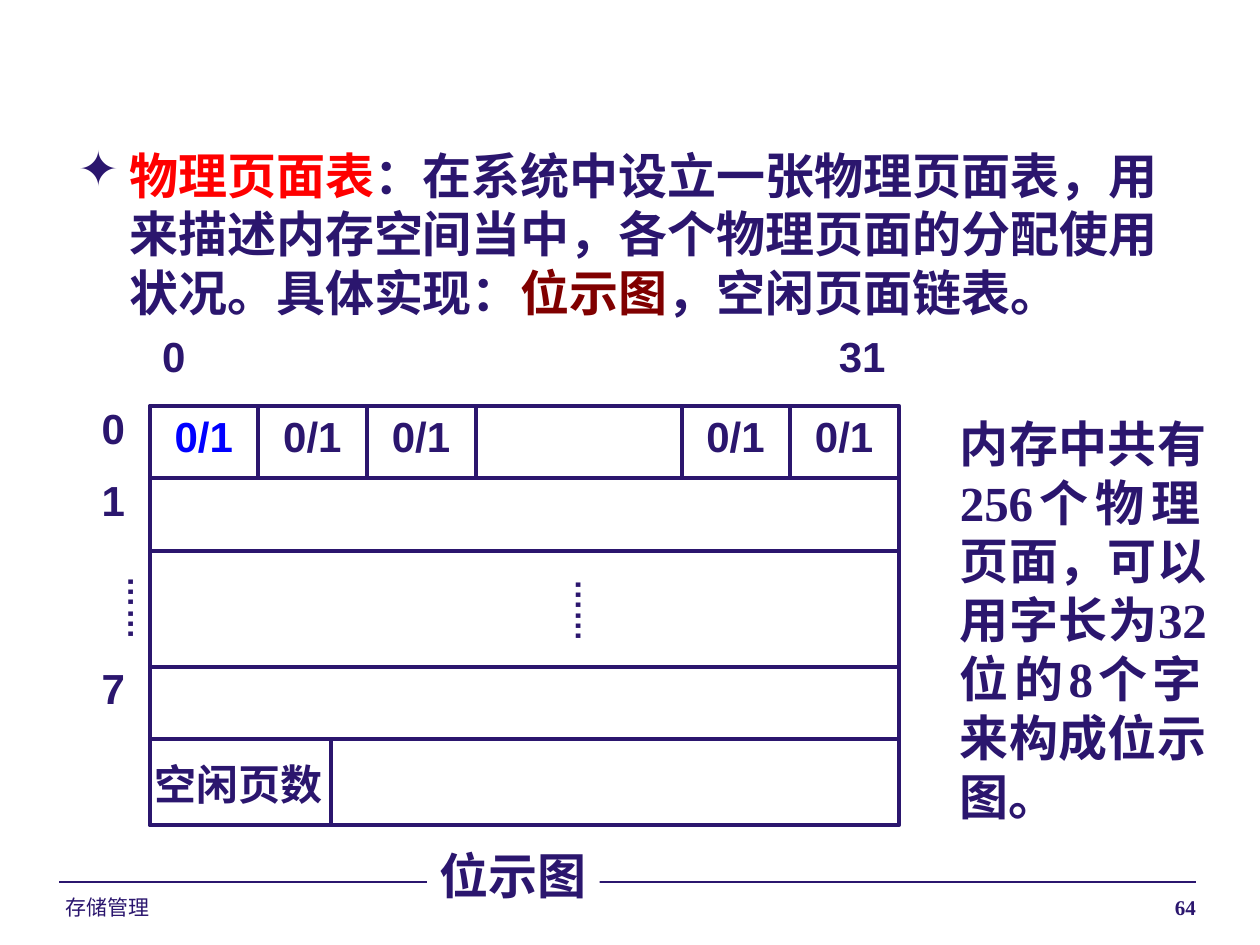
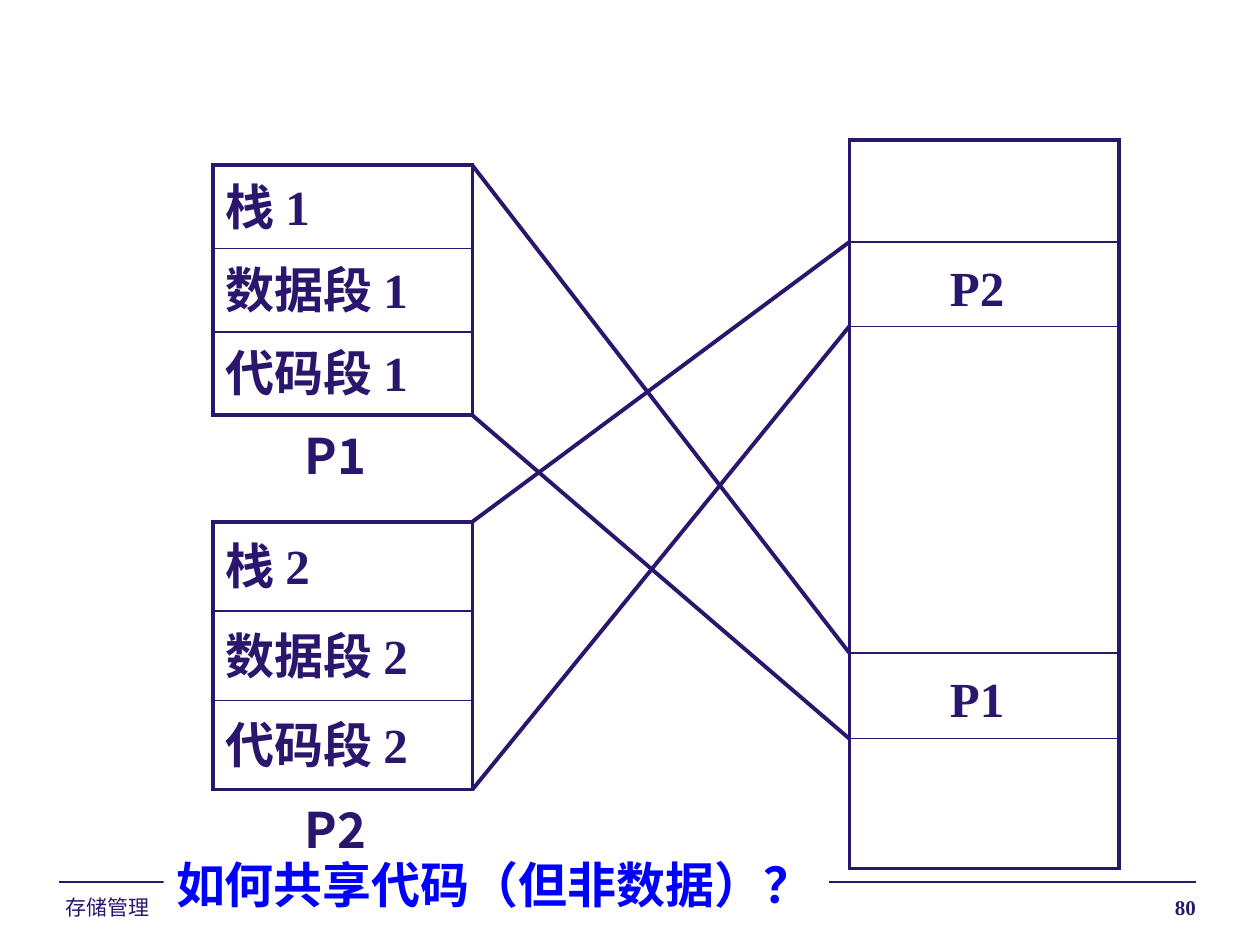
from itertools import accumulate

from lxml.etree import SubElement
from pptx import Presentation
from pptx.dml.color import RGBColor
from pptx.enum.shapes import MSO_CONNECTOR, MSO_SHAPE
from pptx.enum.text import MSO_ANCHOR, MSO_AUTO_SIZE, PP_ALIGN
from pptx.oxml.ns import qn
from pptx.util import Cm, Pt

INDIGO = RGBColor(0x2B, 0x16, 0x6E)
RED = RGBColor(0xFF, 0x00, 0x00)
MAROON = RGBColor(0x80, 0x00, 0x00)
BLUE = RGBColor(0x00, 0x00, 0xFF)
WHITE = RGBColor(0xFF, 0xFF, 0xFF)
SANS, SERIF, CJK = "Arial", "Times New Roman", "Noto Sans CJK SC"
THICK, THIN = 2.25, 1
LINE_HEIGHT = 1.2


# Shared helpers
def add_run(paragraph, text, font=SERIF, size=28, color=INDIGO, bold=True,
            east_asian=CJK):
    run = paragraph.add_run()
    run.text = text
    run.font.name = font
    run.font.size = Pt(size)
    run.font.bold = bold
    run.font.color.rgb = color
    SubElement(run.font._element, qn("a:ea"), typeface=east_asian)


def add_text(slide, box, text="", align=PP_ALIGN.LEFT, size=28, wrap=True,
             fill=None, **style):
    """Add a text box at (left, top, width, height) and return it."""
    shape = slide.shapes.add_textbox(*map(Cm, box))
    if fill is not None:
        shape.fill.solid()
        shape.fill.fore_color.rgb = fill
    frame = shape.text_frame
    frame.word_wrap = wrap
    frame.auto_size = MSO_AUTO_SIZE.NONE if wrap else MSO_AUTO_SIZE.SHAPE_TO_FIT_TEXT
    paragraph = frame.paragraphs[0]
    paragraph.alignment = align
    paragraph.line_spacing = Pt(size * LINE_HEIGHT)
    for index, line in enumerate(text.split("\n") if text else []):
        if index:
            paragraph.add_line_break()
        add_run(paragraph, line, size=size, **style)
    return shape


def add_line(slide, start, end, width=THICK):
    line = slide.shapes.add_connector(
        MSO_CONNECTOR.STRAIGHT, *map(Cm, (*start, *end)))
    line.line.color.rgb = INDIGO
    line.line.width = Pt(width)
    SubElement(line._element.spPr, qn("a:effectLst"))


def add_slide(presentation, number):
    """Blank slide with the footer rule, the topic and the page number."""
    slide = presentation.slides.add_slide(presentation.slide_layouts[6])
    add_line(slide, (1.19, 17.78), (24.1, 17.78), 0.75)
    add_text(slide, (1.07, 17.91, 5.92, 0.61), "存储管理", size=12, font=SANS,
             bold=False)
    add_text(slide, (16.31, 17.91, 8.05, 0.61), str(number), PP_ALIGN.RIGHT,
             size=12)
    return slide


# Slide 1: page bitmap
def add_bullet(slide, box, runs):
    paragraph = add_text(slide, box).text_frame.paragraphs[0]
    properties = paragraph._p.get_or_add_pPr()
    properties.set("marL", str(Cm(1.04)))
    properties.set("indent", str(Cm(-1.04)))
    bullet_color = SubElement(properties, qn("a:buClr"))
    SubElement(bullet_color, qn("a:srgbClr"), val=str(INDIGO))
    SubElement(properties, qn("a:buChar"), char="✦")
    for text, font, color in runs:
        add_run(paragraph, text, font, color=color)


def add_bitmap(slide, left, top, width):
    """Bitmap of eight words; every place is relative to its top left."""
    row_heights = [1.46, 1.46, 2.34, 1.46, 1.74]
    row_tops = [0, *accumulate(row_heights)]
    height = row_tops[-1]
    bit_width = 2.19

    def label(text, x, y, label_width=1.0, label_height=1.27, **style):
        options = {"size": 24, "font": SANS, "wrap": False, **style}
        return add_text(slide, (left + x, top + y, label_width, label_height),
                        text, **options)

    # Frame and grid
    frame = slide.shapes.add_shape(
        MSO_SHAPE.RECTANGLE, *map(Cm, (left, top, width, height)))
    frame.shadow.inherit = False
    frame.fill.solid()
    frame.fill.fore_color.rgb = WHITE
    frame.line.color.rgb = INDIGO
    frame.line.width = Pt(THICK)
    for y in row_tops[1:-1]:
        add_line(slide, (left, top + y), (left + width, top + y))
    left_bits = [bit_width * index for index in range(3)]
    right_bits = [width - bit_width * index for index in (2, 1)]
    for x in left_bits[1:] + [3 * bit_width] + right_bits:
        add_line(slide, (left + x, top), (left + x, top + row_tops[1]))
    add_line(slide, (left + 3.66, top + row_tops[4]), (left + 3.66, top + height))

    # Bits, column numbers and word numbers
    for x in left_bits + right_bits:
        label("0/1", x + 0.25, -0.02, 1.68, color=INDIGO if x else BLUE)
    label("0", 0, -1.65)
    label("31", 13.64, -1.65, 1.45)
    for text, row in (("0", 0), ("1", 1), ("7", 3)):
        label(text, -1.22, row_tops[row] - 0.2)
    for x, y in ((8.08, 3.25), (-0.94, 3.2)):
        dots = label("……", x, y, 1.27, 1.52, size=18, east_asian=SANS)
        dots.text_frame._txBody.bodyPr.set("vert", "eaVert")

    # Free page count and caption
    label("空闲页数", -0.15, row_tops[4] + 0.26, 3.91)
    label("位示图", 5.59, 8.74, 3.48, 1.45, size=28, font=CJK, fill=WHITE)


def build_bitmap_slide(presentation):
    slide = add_slide(presentation, 64)
    add_bullet(slide, (1.32, 2.8, 22.91, 3.81), [
        ("物理页面表", CJK, RED),
        ("：在系统中设立一张物理页面表，用来描述内存空间当中，"
         "各个物理页面的分配使用状况。具体实现：", SERIF, INDIGO),
        ("位示图", CJK, MAROON),
        ("，空闲页面链表。", SERIF, INDIGO),
    ])
    add_bitmap(slide, 3.02, 8.18, 15.1)
    add_text(slide, (19.1, 8.21, 5.48, 8.56),
             "内存中共有\n256个物理\n页面，可以\n用字长为32\n位的8个字\n来构成位示\n图。",
             PP_ALIGN.JUSTIFY)


# Slide 2: processes in memory
def set_borders(cell, widths):
    properties = cell._tc.get_or_add_tcPr()
    for index, (side, width) in enumerate(widths.items()):
        border = SubElement(properties, qn(f"a:ln{side}"), w=str(Pt(width)))
        fill = SubElement(border, qn("a:solidFill"))
        SubElement(fill, qn("a:srgbClr"), val=str(INDIGO))
        properties.insert(index, border)


def add_segments(slide, left, top, width, heights, texts):
    """One-column table with a thick outline and thin rules."""
    last = len(heights) - 1
    table = slide.shapes.add_table(
        last + 1, 1, *map(Cm, (left, top, width, sum(heights)))).table
    table.first_row = table.horz_banding = False
    for index, (height, text) in enumerate(zip(heights, texts)):
        table.rows[index].height = Cm(height)
        cell = table.cell(index, 0)
        cell.fill.background()
        cell.vertical_anchor = MSO_ANCHOR.MIDDLE
        cell.margin_top = Cm(0.25)
        if text:
            paragraph = cell.text_frame.paragraphs[0]
            paragraph.line_spacing = Pt(28 * LINE_HEIGHT)
            add_run(paragraph, text)
        set_borders(cell, {"L": THICK, "R": THICK,
                           "T": THIN if index else THICK,
                           "B": THIN if index < last else THICK})


def add_process(slide, left, top, width, row_height, number):
    """Segments of one process with its name below; returns its right corners."""
    texts = [f"{name} {number}" for name in ("栈", "数据段", "代码段")]
    add_segments(slide, left, top, width, [row_height] * 3, texts)
    bottom = top + 3 * row_height
    add_text(slide, (left + 1.6, bottom + 0.08, 1.78, 1.45), f"P{number}", font=CJK)
    return (left + width, top), (left + width, bottom)


def add_memory(slide, left, top, width, heights, processes):
    """Memory column; returns the left corners of each process's area."""
    add_segments(slide, left, top, width, heights, [""] * len(heights))
    edges = [top + y for y in (0, *accumulate(heights))]
    corners = {}
    for row, number in processes.items():
        add_text(slide, (left + 1.78, edges[row] + 0.19, 1.6, 1.45), f"P{number}")
        corners[number] = (left, edges[row]), (left, edges[row + 1])
    return corners


def build_sharing_slide(presentation):
    slide = add_slide(presentation, 80)
    areas = add_memory(slide, 17.12, 2.82, 5.44, [2.06, 1.7, 6.58, 1.73, 2.62],
                       {1: 2, 3: 1})
    for number, top, row_height in ((1, 3.33, 1.68), (2, 10.52, 1.8)):
        corners = add_process(slide, 4.29, top, 5.23, row_height, number)
        for start, end in zip(corners, areas[number]):
            add_line(slide, start, end)
    add_text(slide, (3.3, 17.1, 13.41, 1.45), "如何共享代码（但非数据）？",
             font=CJK, color=BLUE, fill=WHITE)


def main():
    presentation = Presentation()
    presentation.slide_width = Cm(25.4)
    presentation.slide_height = Cm(19.05)
    build_bitmap_slide(presentation)
    build_sharing_slide(presentation)
    presentation.save("out.pptx")


if __name__ == "__main__":
    main()
